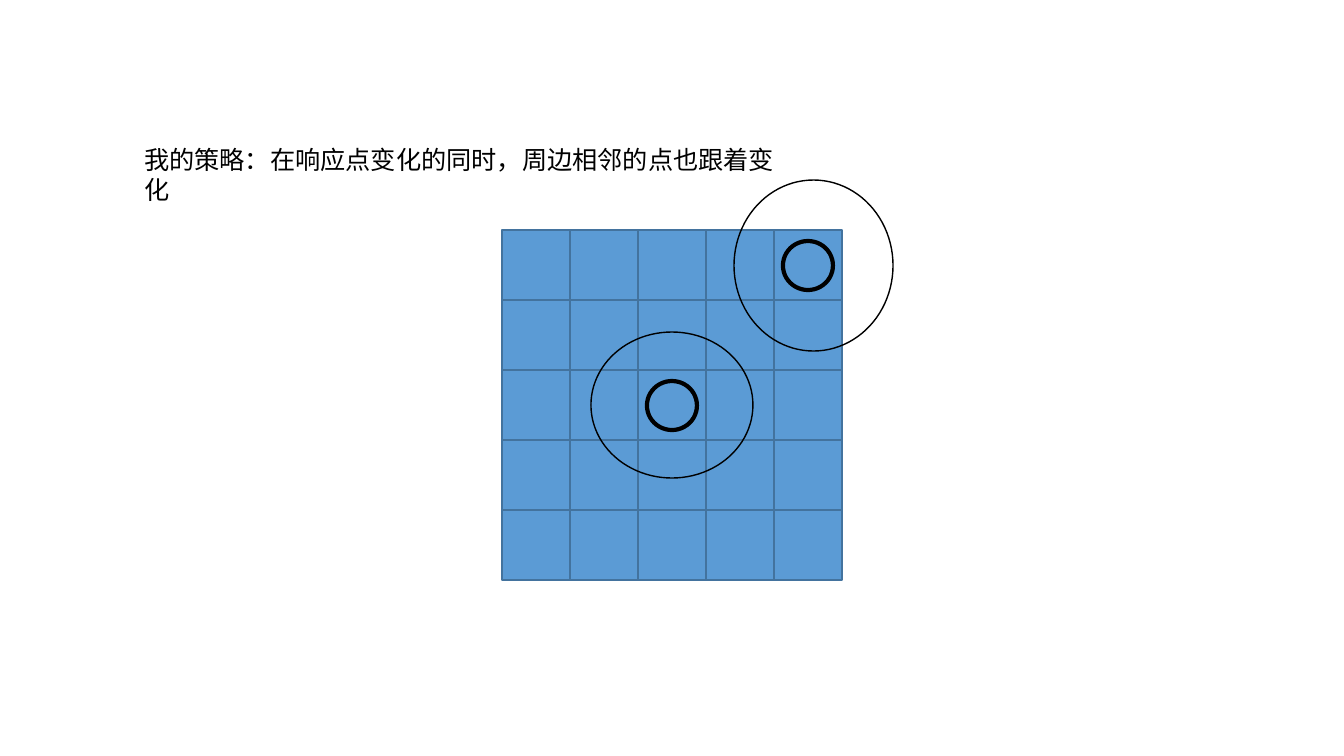
from pptx import Presentation
from pptx.dml.color import RGBColor
from pptx.enum.shapes import MSO_SHAPE
from pptx.enum.text import MSO_ANCHOR, MSO_AUTO_SIZE, PP_ALIGN
from pptx.util import Pt

RECT, OVAL = MSO_SHAPE.RECTANGLE, MSO_SHAPE.OVAL
TOP, LEFT, NO_FIT = MSO_ANCHOR.TOP, PP_ALIGN.LEFT, MSO_AUTO_SIZE.NONE
EMU_PER_PX = 914400 / 100.8


def px(*lengths):
    return [round(n * EMU_PER_PX) for n in lengths]


def rgb(value):
    return RGBColor.from_string(value)


prs = Presentation()
prs.slide_width, prs.slide_height = px(1344, 756)
s = prs.slides.add_slide(prs.slide_layouts[5])

# Title
title = s.shapes.title
title.left, title.top, title.width, title.height = px(134, 139, 675, 40)
tf = title.text_frame
tf.text = "我的策略：在响应点变化的同时，周边相邻的点也跟着变化"
tf.word_wrap = False
tf.auto_size = NO_FIT
tf.vertical_anchor = TOP
p = tf.paragraphs[0]
p.alignment = LEFT
r = p.runs[0]
r.font.size = Pt(18)
r.font.name = "Calibri"
r.font.color.rgb = rgb("000000")

# Grid of points
GRID_SIZE = 5
GRID_LEFT, GRID_TOP = 502, 230
CELL_W, CELL_H = 68, 70
for row in range(GRID_SIZE):
    for col in range(GRID_SIZE):
        sp = s.shapes.add_shape(RECT, *px(GRID_LEFT + col * CELL_W,
                                          GRID_TOP + row * CELL_H, CELL_W, CELL_H))
        sp.shadow.inherit = False
        sp.fill.solid()
        sp.fill.fore_color.rgb = rgb("5B9BD5")
        sp.line.color.rgb = rgb("43739E")
        sp.line.width = Pt(1)

# Response points (thick) and their neighbourhoods (thin)
circles = [
    (591, 332, 162, 146, 1),
    (647, 381, 50, 49, 3),
    (783, 241, 50, 49, 3),
    (734, 180, 159, 171, 1),
]
for left, top, width, height, weight in circles:
    sp = s.shapes.add_shape(OVAL, *px(left, top, width, height))
    sp.shadow.inherit = False
    sp.fill.background()
    sp.line.color.rgb = rgb("000000")
    sp.line.width = Pt(weight)

prs.save("out.pptx")
